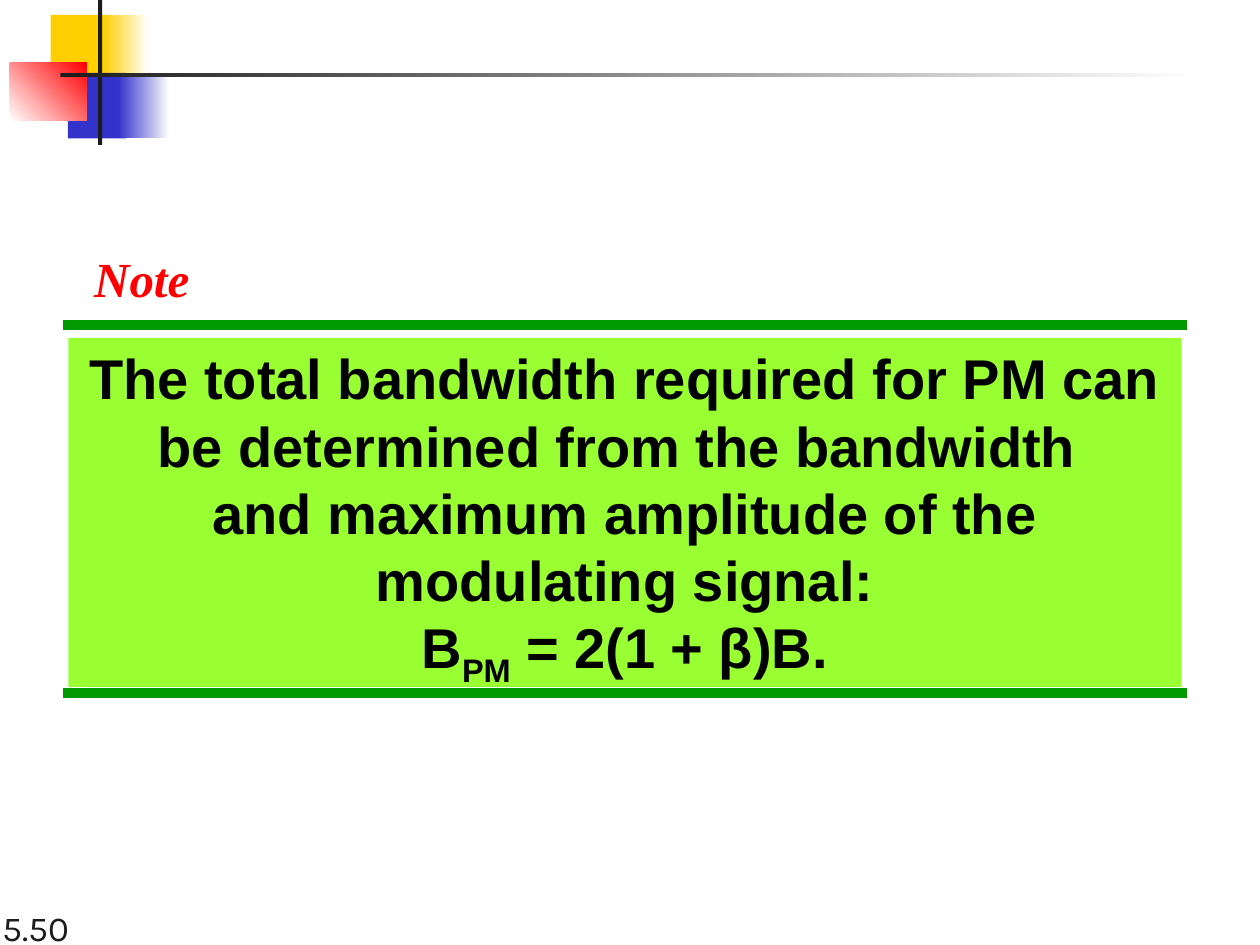
from lxml import etree
from pptx import Presentation
from pptx import util as u
from pptx.dml.color import RGBColor
from pptx.enum import shapes, text
from pptx.oxml.ns import qn

WHITE = RGBColor(0xFF, 0xFF, 0xFF)
BLACK = RGBColor(0x00, 0x00, 0x00)
CHARCOAL = RGBColor(0x1C, 0x1C, 0x1C)
YELLOW = RGBColor(0xFF, 0xCF, 0x01)
BLUE = RGBColor(0x33, 0x33, 0xCC)
RED = RGBColor(0xFF, 0x00, 0x00)
GREEN = RGBColor(0x00, 0x99, 0x00)
LIME = RGBColor(0x99, 0xFF, 0x33)

NUMBER_FONT = {"name": "Karla", "size": u.Pt(20)}
NOTE_FONT = {"name": "Times New Roman", "size": u.Pt(28), "bold": True, "italic": True}
STATEMENT_FONT = {"name": "Arial", "size": u.Pt(32), "bold": True}


def add_run(paragraph, words, font, color):
    run = paragraph.add_run()
    run.text = words
    for name, value in font.items():
        setattr(run.font, name, value)
    run.font.color.rgb = color
    return run


def add_block(slide, left, top, width, height, colors, angle=0):
    """Add a rectangle in cm; two colors give a gradient along the angle."""
    shape = slide.shapes.add_shape(
        shapes.MSO_SHAPE.RECTANGLE, u.Cm(left), u.Cm(top), u.Cm(width), u.Cm(height))
    shape.shadow.inherit = False
    shape.line.fill.background()
    if len(colors) == 1:
        shape.fill.solid()
        shape.fill.fore_color.rgb = colors[0]
    else:
        shape.fill.gradient()
        shape.fill.gradient_angle = angle
        for stop, color, position in zip(shape.fill.gradient_stops, colors, (0, 1)):
            stop.color.rgb = color
            stop.position = position
    return shape


def add_label(slide, left, top, width, height, words, font, color):
    box = slide.shapes.add_textbox(u.Cm(left), u.Cm(top), u.Cm(width), u.Cm(height))
    add_run(box.text_frame.paragraphs[0], words, font, color)
    return box.text_frame


def add_rule(slide, left, top, width):
    line = slide.shapes.add_connector(
        shapes.MSO_CONNECTOR.STRAIGHT, u.Cm(left), u.Cm(top), u.Cm(left + width), u.Cm(top))
    line.line.color.rgb = GREEN
    line.line.width = u.Pt(6)
    etree.SubElement(line._element.spPr, qn("a:effectLst"))


def add_corner_ornament(slide, left, top):
    blocks = [
        (0.82, 0.3, 1.22, 1.32, [YELLOW]),
        (1.88, 0.3, 0.91, 1.32, [YELLOW, WHITE]),
        (1.17, 1.47, 1.17, 1.32, [BLUE]),
        (2.19, 1.47, 1.02, 1.32, [BLUE, WHITE]),
        (0, 1.27, 1.55, 1.17, [WHITE, RED], 45),
        (1.78, 0, 0.08, 2.92, [CHARCOAL]),
        (1.02, 1.47, 22.86, 0.08, [CHARCOAL, WHITE]),
    ]
    for x, y, *rest in blocks:
        add_block(slide, left + x, top + y, *rest)


def add_note(slide, left, top, width, height):
    """Add the heading and the statement between two rules."""
    for y in (0, height):
        add_rule(slide, left, top + y, width)

    inset = 0.11
    panel = add_block(slide, left + inset, top + 0.26, width - 2 * inset, height - 0.38, [LIME])
    frame = panel.text_frame
    frame.word_wrap = True
    frame.vertical_anchor = text.MSO_ANCHOR.TOP
    paragraph = frame.paragraphs[0]
    paragraph.alignment = text.PP_ALIGN.CENTER
    for sentence in (
        "The total bandwidth required for PM can be determined from the bandwidth ",
        "and maximum amplitude of the modulating signal:",
    ):
        add_run(paragraph, sentence, STATEMENT_FONT, BLACK)
        paragraph.add_line_break()
    for words, baseline in (("B", 0), ("PM", -25000), (" = 2(1 + β)B.", 0)):
        run = add_run(paragraph, words, STATEMENT_FONT, BLACK)
        if baseline:
            run.font._element.set("baseline", str(baseline))

    heading = add_label(slide, left + 0.38, top - 1.67, 2.44, 1.45, "Note", NOTE_FONT, RED)
    heading.word_wrap = False


def add_slide_number(slide, left, top, width, height):
    frame = add_label(slide, left, top, width, height, "5.50", NUMBER_FONT, CHARCOAL)
    frame.word_wrap = True
    frame.vertical_anchor = text.MSO_ANCHOR.BOTTOM


def main():
    presentation = Presentation()
    presentation.slide_width = u.Cm(25.4)
    presentation.slide_height = u.Cm(19.05)
    slide = presentation.slides.add_slide(presentation.slide_layouts.get_by_name("Blank"))
    add_slide_number(slide, -0.2, 17.98, 5.28, 1.27)
    add_corner_ornament(slide, 0.2, 0)
    add_note(slide, 1.27, 6.55, 22.66, 7.42)
    presentation.save("out.pptx")


if __name__ == "__main__":
    main()
